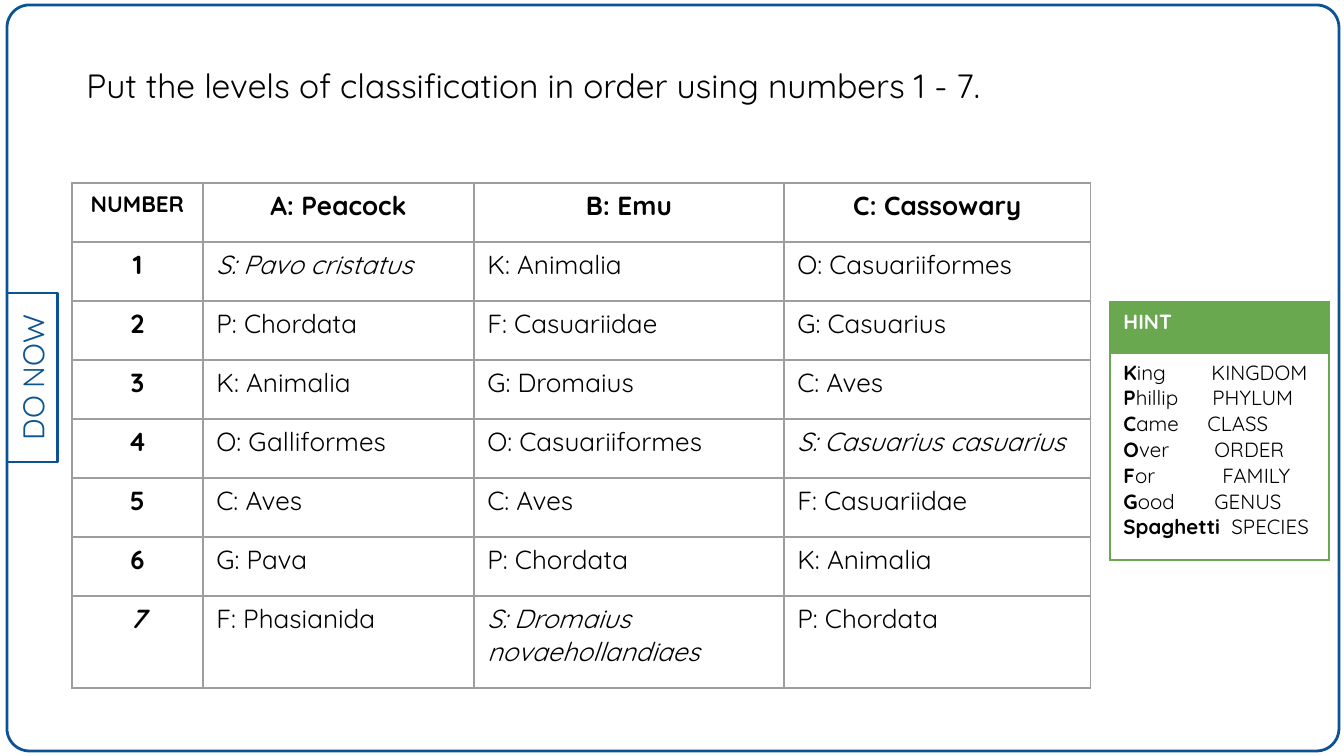
import pptx
import pptx.dml.color
import pptx.enum.shapes
import pptx.enum.text
import pptx.oxml
import pptx.oxml.ns
import pptx.util

PX = 914400 / 134.4
FONT = "Quicksand"
COLOURS = {
    "blue": "0B5394",
    "green": "6AA84F",
    "grey": "9E9E9E",
    "black": "000000",
    "white": "FFFFFF",
}
ALIGN = pptx.enum.text.PP_ALIGN
SHAPES = pptx.enum.shapes.MSO_SHAPE

HEADINGS = ["NUMBER", "A: Peacock", "B: Emu", "C: Cassowary"]
ANSWERS = [
    ["S: Pavo cristatus", "K: Animalia", "O: Casuariiformes"],
    ["P: Chordata", "F: Casuariidae", "G: Casuarius"],
    ["K: Animalia", "G: Dromaius", "C: Aves"],
    ["O: Galliformes", "O: Casuariiformes", "S: Casuarius casuarius"],
    ["C: Aves", "C: Aves", "F: Casuariidae"],
    ["G: Pava", "P: Chordata", "K: Animalia"],
    ["F: Phasianida", "S: Dromaius novaehollandiaes", "P: Chordata"],
]
# Bold start, rest of the word, level, distance of the level from the text edge
MNEMONIC = [
    ("K", "ing", "KINGDOM", 88),
    ("P", "hillip", "PHYLUM", 89),
    ("C", "ame", "CLASS", 84),
    ("O", "ver", "ORDER", 91),
    ("F", "or", "FAMILY", 99),
    ("G", "ood", "GENUS", 91),
    ("Spaghetti", "", "SPECIES", 108),
]


def px(length):
    return pptx.util.Emu(round(length * PX))


def rgb(name):
    return pptx.dml.color.RGBColor.from_string(COLOURS[name])


def add_run(paragraph, text, size, colour="black", bold=False, italic=False):
    run = paragraph.add_run()
    run.text = text
    run.font.name = FONT
    run.font.size = pptx.util.Pt(size)
    run.font.bold = bold
    run.font.italic = italic
    run.font.color.rgb = rgb(colour)


def set_insets(frame):
    frame.margin_left = frame.margin_right = pptx.util.Inches(0.1)
    frame.margin_top = frame.margin_bottom = pptx.util.Inches(0.1)
    frame.word_wrap = True


def add_outline(slide, preset, left, top, width, height):
    outline = slide.shapes.add_shape(preset, px(left), px(top), px(width), px(height))
    outline.shadow.inherit = False
    outline.fill.background()
    outline.line.color.rgb = rgb("blue")
    outline.line.width = pptx.util.Pt(1.5)
    return outline


def add_title(slide, text):
    title = slide.shapes.title
    title.left, title.top, title.width, title.height = px(73), px(51), px(1038), px(85)
    frame = title.text_frame
    set_insets(frame)
    frame.auto_size = pptx.enum.text.MSO_AUTO_SIZE.NONE
    frame.vertical_anchor = pptx.enum.text.MSO_ANCHOR.TOP
    frame.paragraphs[0].alignment = ALIGN.LEFT
    add_run(frame.paragraphs[0], text, 18)


def add_side_tab(slide, text):
    tab = add_outline(slide, SHAPES.RECTANGLE, -52, 352, 169, 51)
    tab.rotation = 270
    frame = tab.text_frame
    set_insets(frame)
    frame.vertical_anchor = pptx.enum.text.MSO_ANCHOR.MIDDLE
    frame.paragraphs[0].alignment = ALIGN.CENTER
    add_run(frame.paragraphs[0], text, 16, "blue")


def add_borders(cell, colour):
    properties = cell._tc.get_or_add_tcPr()
    for side in ("lnL", "lnR", "lnT", "lnB"):
        properties.append(pptx.oxml.parse_xml(
            f'<a:{side} {pptx.oxml.ns.nsdecls("a")} w="9525"><a:solidFill>'
            f'<a:srgbClr val="{COLOURS[colour]}"/></a:solidFill></a:{side}>'))


def add_grid(slide, left, top, widths, heights, border):
    """Add a table without banding whose cells are bordered and unfilled."""
    grid = slide.shapes.add_table(
        len(heights), len(widths), px(left), px(top),
        px(sum(widths)), px(sum(heights))).table
    grid.first_row = grid.horz_banding = False
    for column, width in zip(grid.columns, widths):
        column.width = px(width)
    for row, height in zip(grid.rows, heights):
        row.height = px(height)
    for cell in grid.iter_cells():
        set_insets(cell.text_frame)
        add_borders(cell, border)
        cell.fill.background()
    return grid


def add_tab_stop(paragraph, distance):
    paragraph._p.get_or_add_pPr().append(pptx.oxml.parse_xml(
        f'<a:tabLst {pptx.oxml.ns.nsdecls("a")}>'
        f'<a:tab pos="{px(distance)}" algn="l"/></a:tabLst>'))


def add_hint(slide):
    hint = add_grid(slide, 1110, 302, [219], [51, 207], "green")
    heading, body = hint.cell(0, 0), hint.cell(1, 0)
    heading.fill.solid()
    heading.fill.fore_color.rgb = rgb("green")
    add_run(heading.text_frame.paragraphs[0], "HINT", 11, "white", bold=True)
    lines = body.text_frame
    for index, (initial, rest, level, distance) in enumerate(MNEMONIC):
        line = lines.add_paragraph() if index else lines.paragraphs[0]
        add_tab_stop(line, distance)
        add_run(line, initial, 11, bold=True)
        add_run(line, f"{rest}\t{level}", 11)


def add_classification(slide):
    heights = [59] * len(ANSWERS) + [92]
    grid = add_grid(slide, 72, 183, [131, 271, 310, 307], heights, "grey")
    rows = [HEADINGS] + [[str(n), *row] for n, row in enumerate(ANSWERS, 1)]
    for r, row in enumerate(rows):
        for c, text in enumerate(row):
            paragraph = grid.cell(r, c).text_frame.paragraphs[0]
            strong = r == 0 or c == 0
            paragraph.alignment = ALIGN.CENTER if strong else ALIGN.LEFT
            add_run(paragraph, text, 12 if r == c == 0 else 14, bold=strong,
                    italic=text.startswith("S:") or text == "7")


def main():
    deck = pptx.Presentation()
    deck.slide_width, deck.slide_height = px(1344), px(756)
    slide = deck.slides.add_slide(deck.slide_layouts[5])
    frame = add_outline(slide, SHAPES.ROUNDED_RECTANGLE, 7, 5, 1332, 746)
    frame.adjustments[0] = 0.03
    add_side_tab(slide, "DO NOW")
    add_hint(slide)
    add_classification(slide)
    add_title(slide, "Put the levels of classification in order using numbers 1 - 7.")
    deck.save("out.pptx")


if __name__ == "__main__":
    main()
